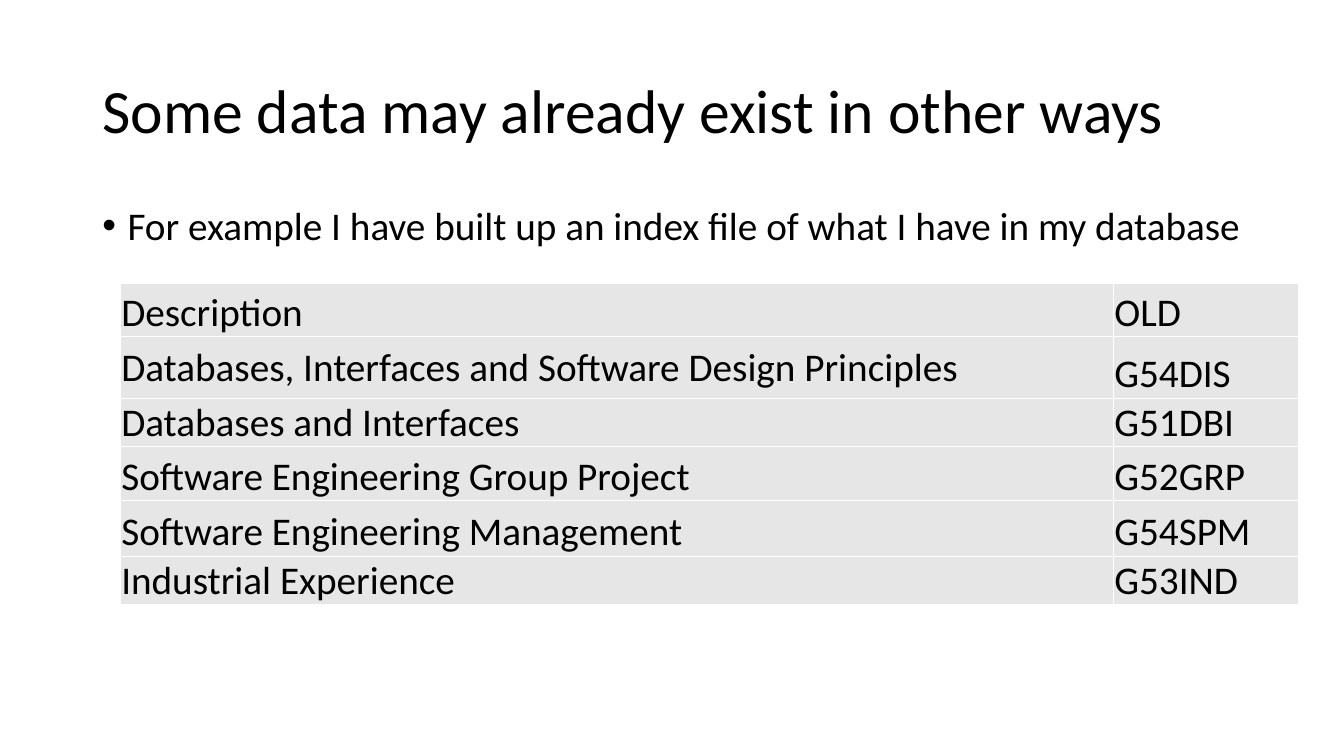
from collections import namedtuple
from dataclasses import dataclass

from lxml import etree
from pptx import Presentation
from pptx.dml.color import RGBColor
from pptx.enum.text import MSO_ANCHOR
from pptx.oxml.ns import qn
from pptx.util import Inches, Pt

TOP, MIDDLE, BOTTOM = MSO_ANCHOR.TOP, MSO_ANCHOR.MIDDLE, MSO_ANCHOR.BOTTOM
Box = namedtuple("Box", "left top width height")


@dataclass(frozen=True)
class Theme:
    """Colours and type of the deck."""
    font: str = "Calibri"
    ink: str = "000000"
    cell: str = "E7E6E6"
    rule: str = "FFFFFF"
    title_size: int = 44
    body_size: int = 28


THEME = Theme()
WIDTH, HEIGHT = Inches(13.33), Inches(7.5)
TITLE = "Some data may already exist in other ways"
EXAMPLE = "For example I have built up an index file of what I have in my database"
MODULES = [
    ("Description", "OLD"),
    ("Databases, Interfaces and Software Design Principles", "G54DIS"),
    ("Databases and Interfaces", "G51DBI"),
    ("Software Engineering Group Project", "G52GRP"),
    ("Software Engineering Management", "G54SPM"),
    ("Industrial Experience", "G53IND"),
]
COLUMN_SHARES = (9.85, 1.84)
ROW_SHARES = (0.53, 0.61, 0.45, 0.54, 0.55, 0.47)
CENTRED_CELL = (1, 0)


def percent_box(left, top, width, height):
    """Turn percentages of the slide into a box."""
    return Box(int(WIDTH * left / 100), int(HEIGHT * top / 100),
               int(WIDTH * width / 100), int(HEIGHT * height / 100))


def apply(target, formats):
    """Set each named format value on the target."""
    for name, value in formats.items():
        setattr(target, name, value)


def write(para, text, size):
    """Add one styled span of text to a paragraph."""
    span = para.add_run()
    span.text = text
    apply(span.font, {"name": THEME.font, "size": Pt(size)})
    span.font.color.rgb = RGBColor.from_string(THEME.ink)


def add_text(page, box, text, size, anchor):
    """Place a wrapped text block and return its paragraph."""
    frame = page.shapes.add_textbox(*box).text_frame
    apply(frame, {"word_wrap": True, "vertical_anchor": anchor})
    para = frame.paragraphs[0]
    para.line_spacing = 0.9
    write(para, text, size)
    return para


def add_title(page, box):
    """Place the slide title."""
    add_text(page, box, TITLE, THEME.title_size, MIDDLE)


def add_example(page, box):
    """Place the bulleted example sentence."""
    para = add_text(page, box, EXAMPLE, THEME.body_size, TOP)
    para.space_before = Pt(10)
    properties = para._p.get_or_add_pPr()
    properties.set("marL", str(Inches(0.25)))
    properties.set("indent", str(Inches(-0.25)))
    etree.SubElement(properties, qn("a:buFont"), typeface="Arial")
    etree.SubElement(properties, qn("a:buChar"), char="•")


def add_borders(cell):
    """Draw a thin rule on all four sides of a cell."""
    properties = cell._tc.get_or_add_tcPr()
    for side in ("lnL", "lnR", "lnT", "lnB"):
        line = etree.SubElement(properties, qn(f"a:{side}"), w=str(Pt(1)))
        fill = etree.SubElement(line, qn("a:solidFill"))
        etree.SubElement(fill, qn("a:srgbClr"), val=THEME.rule)


def add_modules(page, box):
    """Place the table of modules and their old codes."""
    table = page.shapes.add_table(len(MODULES), len(COLUMN_SHARES), *box).table
    apply(table, {"first_row": False, "horz_banding": False})
    for column, share in zip(table.columns, COLUMN_SHARES):
        column.width = int(box.width * share / sum(COLUMN_SHARES))
    for row, share in zip(table.rows, ROW_SHARES):
        row.height = int(box.height * share / sum(ROW_SHARES))
    inset = Inches(0.01)
    for row_index, values in enumerate(MODULES):
        for column_index, text in enumerate(values):
            cell = table.cell(row_index, column_index)
            centred = (row_index, column_index) == CENTRED_CELL
            apply(cell, {"margin_left": inset, "margin_right": inset,
                         "margin_top": inset, "margin_bottom": 0,
                         "vertical_anchor": MIDDLE if centred else BOTTOM})
            add_borders(cell)
            cell.fill.solid()
            cell.fill.fore_color.rgb = RGBColor.from_string(THEME.cell)
            write(cell.text_frame.paragraphs[0], text, THEME.body_size)


def main():
    """Build and save the deck."""
    deck = Presentation()
    apply(deck, {"slide_width": WIDTH, "slide_height": HEIGHT})
    page = deck.slides.add_slide(deck.slide_layouts[6])
    add_title(page, percent_box(6.88, 5.33, 86.25, 19.33))
    add_example(page, percent_box(6.88, 26.67, 86.25, 63.47))
    add_modules(page, percent_box(8.95, 37.47, 87.7, 42))
    deck.save("out.pptx")


if __name__ == "__main__":
    main()
